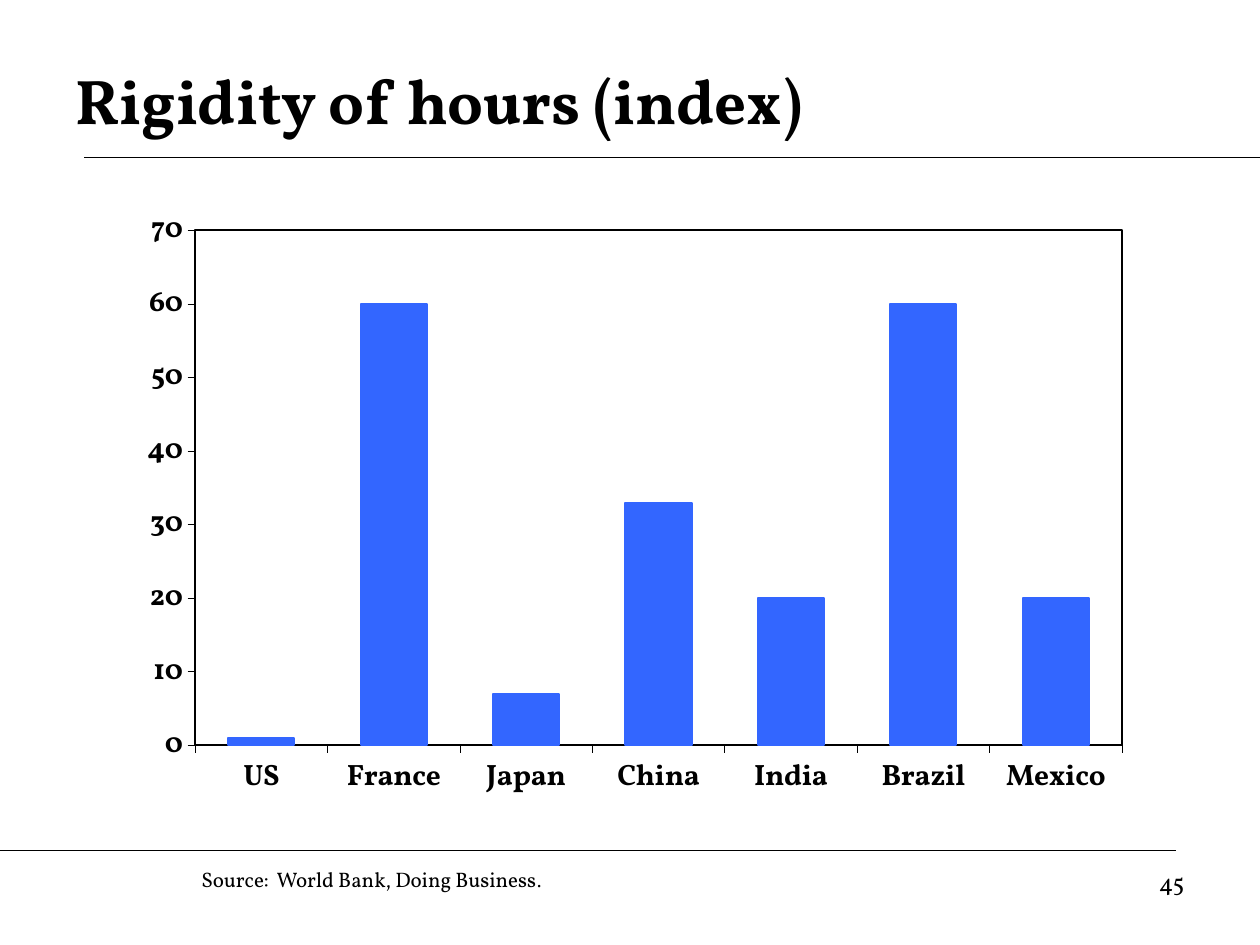
from typing import NamedTuple

from lxml import etree
from pptx import Presentation
from pptx.chart.data import CategoryChartData
from pptx.dml.color import RGBColor
from pptx.enum.chart import XL_CHART_TYPE, XL_TICK_MARK
from pptx.enum.shapes import MSO_CONNECTOR
from pptx.enum.text import MSO_ANCHOR, PP_ALIGN
from pptx.oxml import parse_xml
from pptx.oxml.ns import nsdecls, qn
from pptx.util import Inches, Pt

COLUMN = XL_CHART_TYPE.COLUMN_CLUSTERED
OUT = XL_TICK_MARK.OUTSIDE
STRAIGHT = MSO_CONNECTOR.STRAIGHT
TOP, MIDDLE = MSO_ANCHOR.TOP, MSO_ANCHOR.MIDDLE
LEFT, RIGHT = PP_ALIGN.LEFT, PP_ALIGN.RIGHT
COLORS = {"ink": "000000", "bar": "3366FF"}
FONT, SERIF = "Vollkorn", "Times New Roman"
HOURS = {"US": 1, "France": 60, "Japan": 7, "China": 33,
         "India": 20, "Brazil": 60, "Mexico": 20}
PLOT = {"x": 0.072, "y": 0.069, "w": 0.915, "h": 0.786}


class Rule(NamedTuple):
    left: float
    right: float
    top: float


RULES = [Rule(0.67, 10, 1.25), Rule(0, 9.33, 6.75)]


def tint(name: str) -> RGBColor:
    return RGBColor.from_string(COLORS[name])


def style(font, size: float, bold: bool = False, face: str = FONT) -> None:
    font.name, font.size, font.bold = face, Pt(size), bold
    font.color.rgb = tint("ink")


def stroke(line, color: str, width: float) -> None:
    line.color.rgb = tint(color)
    line.width = Pt(width)


def add_text(slide, text: str, *, left: float, top: float, width: float,
             height: float, size: float, bold: bool = False,
             align=LEFT, anchor=TOP):
    box = slide.shapes.add_textbox(Inches(left), Inches(top),
                                   Inches(width), Inches(height))
    frame = box.text_frame
    frame.word_wrap, frame.vertical_anchor = True, anchor
    para = frame.paragraphs[0]
    para.alignment = align
    run = para.add_run()
    run.text = text
    style(run.font, size, bold)
    return para


def add_rule(slide, rule: Rule) -> None:
    line = slide.shapes.add_connector(
        STRAIGHT, Inches(rule.left), Inches(rule.top),
        Inches(rule.right), Inches(rule.top))
    stroke(line.line, "ink", 0.75)
    etree.SubElement(line._element.spPr, qn("a:effectLst"))


def frame_plot(chart) -> None:
    """Fix the inner plot area and give it a border."""
    area = chart._chartSpace.chart.plotArea
    for old in area.findall(qn("c:layout")):
        area.remove(old)
    sizes = "".join(f'<c:{key} val="{val}"/>' for key, val in PLOT.items())
    area.insert(0, parse_xml(
        f'<c:layout {nsdecls("c")}><c:manualLayout>'
        '<c:layoutTarget val="inner"/><c:xMode val="edge"/>'
        f'<c:yMode val="edge"/>{sizes}</c:manualLayout></c:layout>'))
    area.append(parse_xml(
        f'<c:spPr {nsdecls("c", "a")}><a:noFill/><a:ln w="{Pt(1.2)}">'
        f'<a:solidFill><a:srgbClr val="{COLORS["ink"]}"/></a:solidFill>'
        '</a:ln></c:spPr>'))


def add_bars(slide) -> None:
    data = CategoryChartData(number_format="#,##0")
    data.categories = list(HOURS)
    data.add_series("Series 1", list(HOURS.values()))
    chart = slide.shapes.add_chart(COLUMN, Inches(0.97), Inches(1.47),
                                   Inches(8.04), Inches(5.2), data).chart
    chart.has_legend = chart.has_title = False
    style(chart.font, 21.6, True, SERIF)
    for axis in (chart.category_axis, chart.value_axis):
        axis.has_major_gridlines = False
        axis.major_tick_mark = OUT
        style(axis.tick_labels.font, 16.8, True)
        stroke(axis.format.line, "ink", 0.3)
    scale = chart.value_axis
    scale.minimum_scale, scale.maximum_scale = 0, 70
    scale.major_unit = 10
    scale.tick_labels.number_format = "#,##0"
    scale.tick_labels.number_format_is_linked = False
    plot = chart.plots[0]
    plot.gap_width, plot.vary_by_categories = 100, False
    bars = plot.series[0].format
    bars.fill.solid()
    bars.fill.fore_color.rgb = tint("bar")
    stroke(bars.line, "bar", 1.2)
    frame_plot(chart)


def main() -> None:
    deck = Presentation()
    deck.slide_width, deck.slide_height = Inches(10), Inches(7.5)
    slide = deck.slides.add_slide(deck.slide_layouts[6])
    for rule in RULES:
        add_rule(slide, rule)
    add_bars(slide)
    note = add_text(slide, "Source:  World Bank, Doing Business", left=1.5,
                    top=6.83, width=7.17, height=0.3, size=12)
    stop = note.add_run()
    stop.text = "."
    style(stop.font, 12, face=SERIF)
    add_text(slide, "Rigidity of hours (index)", left=0.5, top=0.33, width=9,
             height=0.92, size=36, bold=True, anchor=MIDDLE)
    add_text(slide, "45", left=7.17, top=6.83, width=2.33, height=0.52,
             size=14, align=RIGHT)
    deck.save("out.pptx")


if __name__ == "__main__":
    main()
